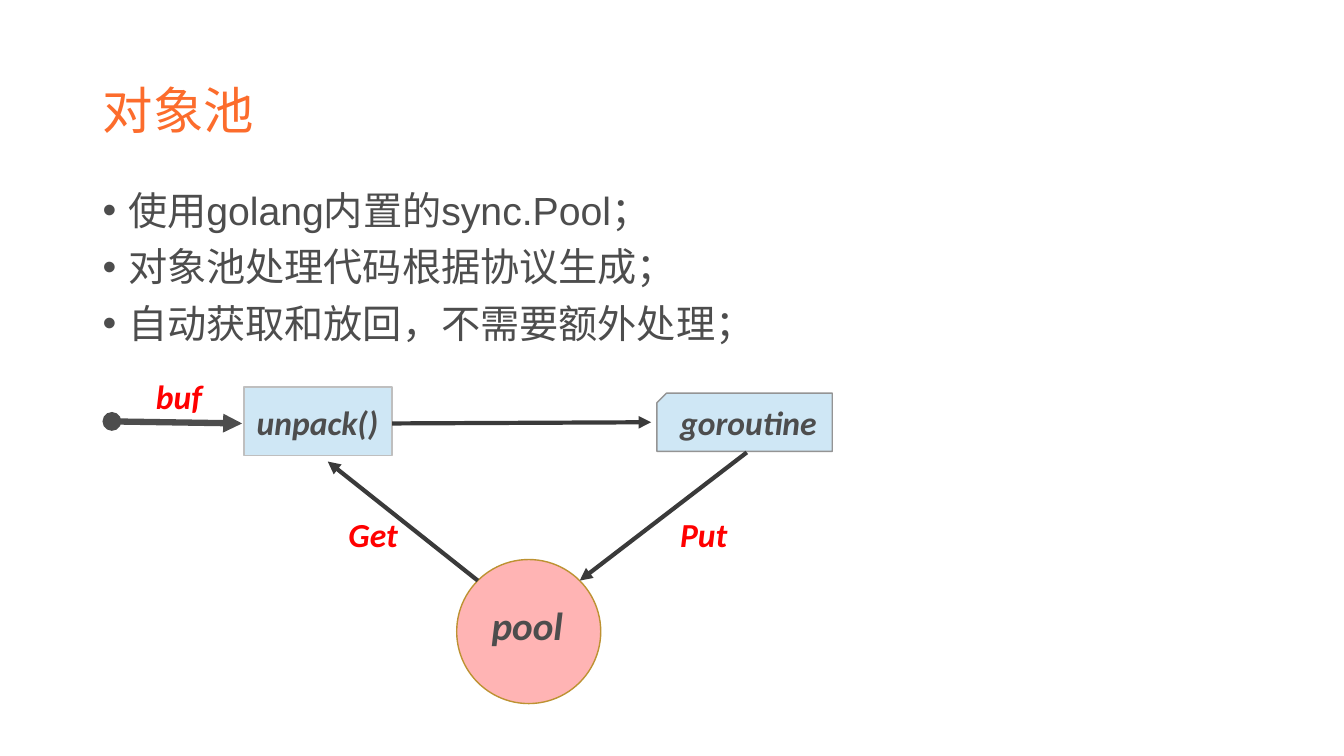
from lxml import etree
from pptx import Presentation
from pptx.dml.color import RGBColor
from pptx.enum.shapes import MSO_CONNECTOR as CONN, MSO_SHAPE as SHAPE
from pptx.enum.text import MSO_ANCHOR as ANCHOR, PP_ALIGN as ALIGN
from pptx.oxml.ns import qn
from pptx.util import Cm, Pt

# Content: lengths in cm
TITLE = "对象池"
BULLETS = [
    "使用golang内置的sync.Pool；",
    "对象池处理代码根据协议生成；",
    "自动获取和放回，不需要额外处理；",
]
TITLE_BOX = (2.34, 1.02, 29.21, 3.68)
BODY_BOX = (2.34, 4.7, 29.21, 12.09)

# Nodes: preset, box, rotation, fill, line
NODES = [
    (SHAPE.RECTANGLE, (6.15, 9.75, 3.73, 1.73), 0, "step", "step_line"),
    (SHAPE.SNIP_1_RECTANGLE, (18.03, 8.43, 1.47, 4.42), 270, "step", "routine_line"),
    (SHAPE.OVAL, (11.51, 14.1, 3.63, 3.63), 0, "pool", "pool_line"),
]
# Arrows: start, end, colour, width in points, shape at the start
ARROWS = [
    ((2.82, 10.62), (6.1, 10.67), "text", 4.5, "oval"),
    ((9.88, 10.67), (16.41, 10.64), "arrow", 3, None),
    ((12.04, 14.63), (8.26, 11.63), "arrow", 3, None),
    ((18.82, 11.4), (14.61, 14.63), "arrow", 3, None),
]
# Labels: text, box, colour, size
LABELS = [
    ("buf", (3.68, 9.35, 1.85, 1.27), "flow", "label"),
    ("unpack()", (6.22, 10.01, 3.66, 1.27), "text", "label"),
    ("goroutine", (16.89, 10.01, 4.55, 1.27), "text", "label"),
    ("pool", (12.14, 15.04, 2.49, 1.45), "text", "body"),
    ("Get", (8.53, 12.83, 1.85, 1.27), "flow", "label"),
    ("Put", (16.89, 12.83, 1.85, 1.27), "flow", "label"),
]

THEME = {
    "colors": {
        "title": "FC6C2C", "text": "4D4D4D", "flow": "FF0000", "arrow": "3A3A3A",
        "step": "CFE7F5", "step_line": "BFBFBF", "routine_line": "949494",
        "pool": "FFB4B4", "pool_line": "BD9232",
    },
    "sizes": {"title": 36, "body": 28, "label": 24},
    "fonts": {"main": "Arial", "diagram": "Calibri"},
}


def color(name):
    return RGBColor.from_string(THEME["colors"][name])


def add_box(s, box):
    tf = s.shapes.add_textbox(*map(Cm, box)).text_frame
    tf.word_wrap = True
    return tf


def add_run(p, text, font, size, fill, emphasis=False):
    r = p.add_run()
    r.text = text
    r.font.name = THEME["fonts"][font]
    r.font.size = Pt(THEME["sizes"][size])
    r.font.color.rgb = color(fill)
    r.font.bold = r.font.italic = emphasis


def add_bullet(p):
    p_pr = p._p.get_or_add_pPr()
    p_pr.set("marL", str(Cm(0.64)))
    p_pr.set("indent", str(-Cm(0.64)))
    etree.SubElement(p_pr, qn("a:buFont")).set("typeface", "Arial")
    etree.SubElement(p_pr, qn("a:buChar")).set("char", "•")


def add_node(s, preset, box, rotation, fill, line):
    sp = s.shapes.add_shape(preset, *map(Cm, box))
    sp.rotation = rotation
    sp.shadow.inherit = False
    sp.fill.solid()
    sp.fill.fore_color.rgb = color(fill)
    sp.line.color.rgb = color(line)
    sp.line.width = Pt(1)


def add_arrow(s, start, end, stroke, width, head):
    c = s.shapes.add_connector(CONN.STRAIGHT, *map(Cm, start + end))
    c.line.color.rgb = color(stroke)
    c.line.width = Pt(width)
    ln = c.line._get_or_add_ln()
    if head:
        etree.SubElement(ln, qn("a:headEnd")).set("type", head)
    etree.SubElement(ln, qn("a:tailEnd")).set("type", "triangle")
    etree.SubElement(c._element.spPr, qn("a:effectLst"))


def main():
    prs = Presentation()
    prs.slide_width, prs.slide_height = Cm(33.87), Cm(19.05)
    s = prs.slides.add_slide(prs.slide_layouts[6])

    # Title
    tf = add_box(s, TITLE_BOX)
    tf.vertical_anchor = ANCHOR.MIDDLE
    p = tf.paragraphs[0]
    p.line_spacing = 0.9
    add_run(p, TITLE, "main", "title", "title")

    # Bullet list
    tf = add_box(s, BODY_BOX)
    for i, text in enumerate(BULLETS):
        p = tf.add_paragraph() if i else tf.paragraphs[0]
        p.line_spacing = 0.9
        p.space_before = Pt(10)
        add_bullet(p)
        add_run(p, text, "main", "body", "text")

    # Pool diagram
    for node in NODES:
        add_node(s, *node)
    for arrow in ARROWS:
        add_arrow(s, *arrow)
    for text, box, fill, size in LABELS:
        p = add_box(s, box).paragraphs[0]
        p.alignment = ALIGN.JUSTIFY
        add_run(p, text, "diagram", size, fill, emphasis=True)

    prs.save("out.pptx")


if __name__ == "__main__":
    main()
